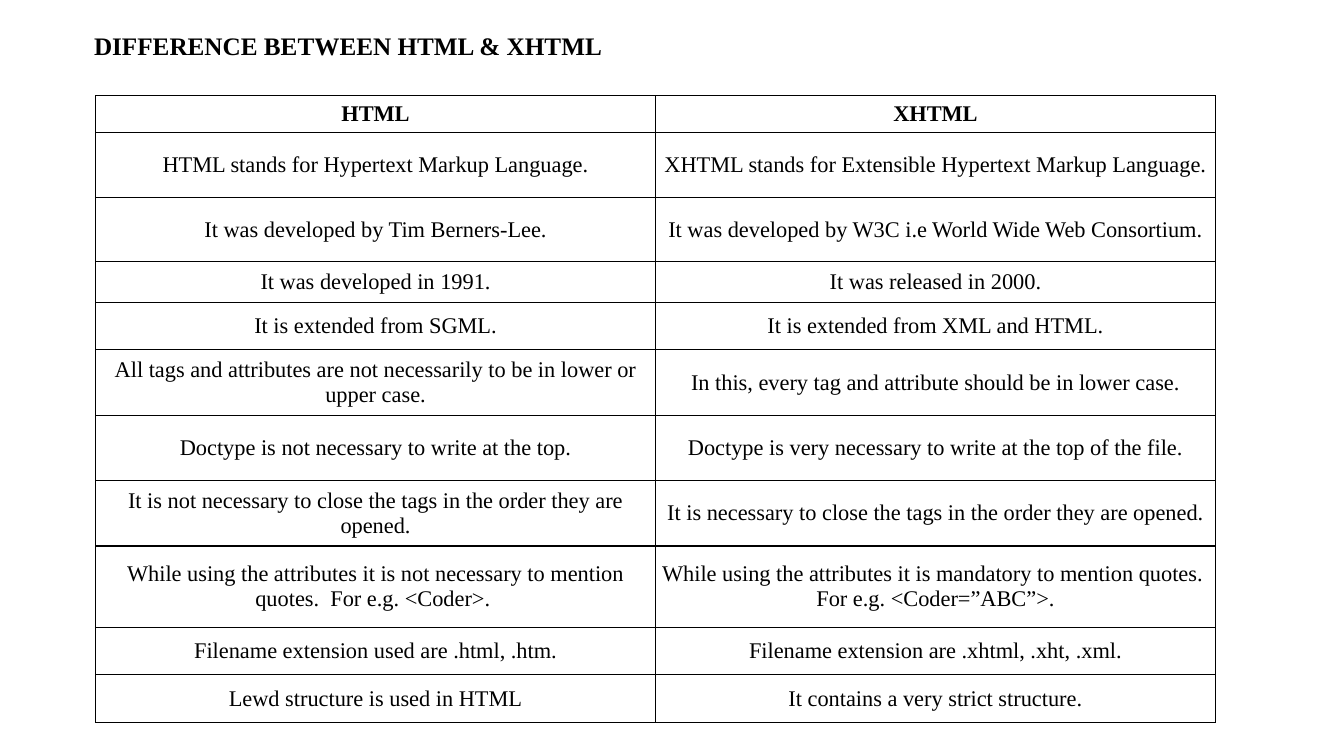
import lxml.etree
import pptx
import pptx.dml.color
import pptx.enum.text
import pptx.oxml.ns
import pptx.util

Cm = pptx.util.Cm
Pt = pptx.util.Pt

ROWS = [
    (0.66, "HTML", "XHTML"),
    (1.63, "HTML stands for Hypertext Markup Language.",
     "XHTML stands for Extensible Hypertext Markup Language."),
    (1.63, "It was developed by Tim Berners-Lee.",
     "It was developed by W3C i.e World Wide Web Consortium."),
    (0.76, "It was developed in 1991.", "It was released in 2000."),
    (1.19, "It is extended from SGML.", "It is extended from XML and HTML."),
    (1.63, "All tags and attributes are not necessarily to be in lower or upper case.",
     "In this, every tag and attribute should be in lower case."),
    (1.63, "Doctype is not necessary to write at the top.",
     "Doctype is very necessary to write at the top of the file."),
    (1.63, "It is not necessary to close the tags in the order they are opened.",
     "It is necessary to close the tags in the order they are opened."),
    (2.06, "While using the attributes it is not necessary to mention quotes.  For e.g. <Coder>. ",
     "While using the attributes it is mandatory to mention quotes.  For e.g. <Coder=”ABC”>."),
    (1.19, "Filename extension used are .html, .htm.",
     "Filename extension are .xhtml, .xht, .xml."),
    (1.19, "Lewd structure is used in HTML", "It contains a very strict structure."),
]


def color(value):
    return pptx.dml.color.RGBColor.from_string(value)


class Deck:
    """Holds the style and the current slide."""

    font = "Times New Roman"
    ink = "000000"

    def __init__(self):
        self.prs = pptx.Presentation()
        self.prs.slide_width = Cm(33.87)
        self.prs.slide_height = Cm(19.05)
        self.s = self.prs.slides.add_slide(self.prs.slide_layouts[6])

    def run(self, p, text, size, bold=False):
        r = p.add_run()
        r.text = text
        r.font.name = self.font
        r.font.size = Pt(size)
        r.font.bold = bold
        r.font.color.rgb = color(self.ink)

    def title(self, text, left, top, width, height):
        sp = self.s.shapes.add_textbox(Cm(left), Cm(top), Cm(width), Cm(height))
        tf = sp.text_frame
        tf.word_wrap = True
        tf.auto_size = pptx.enum.text.MSO_AUTO_SIZE.SHAPE_TO_FIT_TEXT
        self.run(tf.paragraphs[0], text, 18, True)

    def borders(self, cell):
        tc_pr = cell._tc.get_or_add_tcPr()
        qn = pptx.oxml.ns.qn
        for i, side in enumerate(("a:lnL", "a:lnR", "a:lnT", "a:lnB")):
            ln = lxml.etree.Element(qn(side), w=str(Pt(1)))
            fill = lxml.etree.SubElement(ln, qn("a:solidFill"))
            lxml.etree.SubElement(fill, qn("a:srgbClr"), val=self.ink)
            tc_pr.insert(i, ln)

    def cell(self, cell, text, header):
        cell.fill.background()
        self.borders(cell)
        cell.vertical_anchor = pptx.enum.text.MSO_ANCHOR.MIDDLE
        cell.margin_left = cell.margin_right = Cm(0.15)
        cell.margin_top = cell.margin_bottom = Cm(0.15 if header else 0.2)
        p = cell.text_frame.paragraphs[0]
        p.alignment = pptx.enum.text.PP_ALIGN.CENTER
        self.run(p, text, 16, header)

    def table(self, rows, left, top, col_width):
        cols = len(rows[0]) - 1
        height = sum(row[0] for row in rows)
        table = self.s.shapes.add_table(
            len(rows), cols, Cm(left), Cm(top), Cm(cols * col_width), Cm(height)).table
        table.horz_banding = False
        table.first_row = False
        for col in table.columns:
            col.width = Cm(col_width)
        for i, (row_height, *texts) in enumerate(rows):
            table.rows[i].height = Cm(row_height)
            for j, text in enumerate(texts):
                self.cell(table.cell(i, j), text, i == 0)


def main():
    deck = Deck()
    deck.table(ROWS, 2.41, 2.41, 14.11)
    deck.title("DIFFERENCE BETWEEN HTML & XHTML", 2.12, 0.64, 16.93, 1.03)
    deck.prs.save("out.pptx")


if __name__ == "__main__":
    main()
